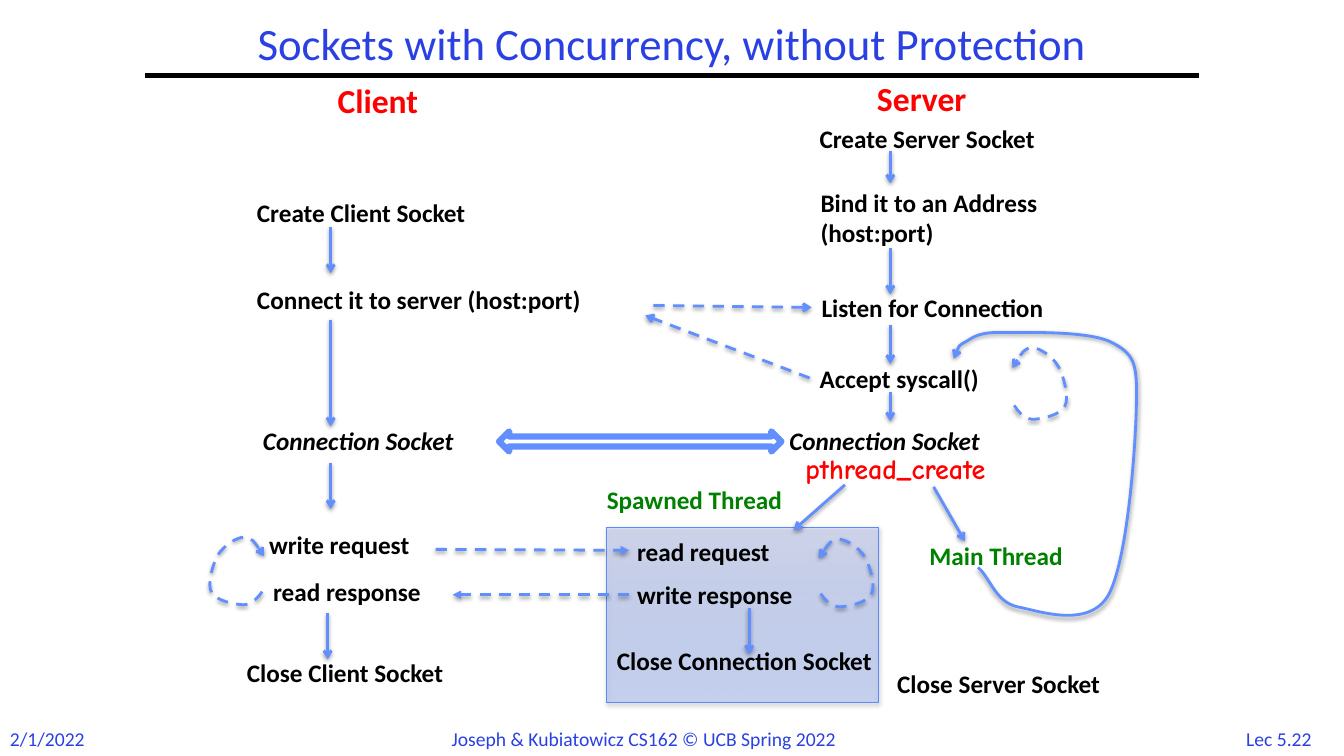
import dataclasses
import typing

import pptx
import pptx.dml.color
import pptx.enum.dml
import pptx.enum.shapes
import pptx.enum.text
import pptx.oxml
import pptx.oxml.ns
import pptx.util

CELL = pptx.util.Inches(0.1)
RGB = pptx.dml.color.RGBColor
BLACK, WHITE, RED = RGB(0, 0, 0), RGB(255, 255, 255), RGB(255, 0, 0)
GREEN = RGB(0, 0x80, 0)
TITLE_BLUE = RGB(0x2A, 0x40, 0xE2)
ARROW_BLUE = RGB(0x61, 0x8F, 0xFD)
BORDER_BLUE = RGB(0x5B, 0x8A, 0xFB)
CENTER = pptx.enum.text.PP_ALIGN.CENTER
STRAIGHT = pptx.enum.shapes.MSO_CONNECTOR.STRAIGHT
SHAPES = pptx.enum.shapes.MSO_SHAPE
NAMESPACE = pptx.oxml.ns.nsdecls("a")
LOOP = [(0.2, 5.4), (0.6, 6), (1.1, 6.6), (2, 6.7), (2.8, 6.7), (4.8, 6.3), (5.2, 5.5),
        (5.7, 4.7), (5.1, 2.7), (4.6, 1.8), (4, 0.8), (2.7, 0), (2, 0), (1.2, 0),
        (0.6, 1), (0, 1.9)]
ACCEPT_AGAIN = [(20, 49.3), (21.2, 50.3), (21.7, 52.7), (23.9, 53.2), (26, 53.6),
                (30.9, 55.4), (32.9, 52.1), (34.8, 48.8), (35.6, 37.7), (35.7, 33.6),
                (35.8, 29.4), (35.7, 28.3), (33.5, 27.1), (31.4, 25.8), (25.1, 26),
                (22.7, 26), (20.2, 25.9), (19.6, 26.4), (18.8, 26.9), (18, 27.3),
                (17.8, 28), (17.6, 28.6)]


@dataclasses.dataclass
class Region:
    """A part of the page, with its corner and size in grid cells."""
    page: typing.Any
    left: float
    top: float
    width: float
    height: float

    def point(self, column, row):
        """Turn a cell of the region into a place on the page."""
        return round((self.left + column) * CELL), round((self.top + row) * CELL)


def add_label(region, text, column, row, width, size=18, color=BLACK, bold=True,
              italic=False, font="Calibri", align=None, wrap=False):
    """Write text whose box height follows from its lines."""
    lines = text.split("\n")
    height = pptx.util.Pt(len(lines) * size * 1.22 + 7.2)
    box = region.page.shapes.add_textbox(*region.point(column, row), round(width * CELL), height)
    frame = box.text_frame
    frame.word_wrap = wrap
    frame.auto_size = pptx.enum.text.MSO_AUTO_SIZE.SHAPE_TO_FIT_TEXT
    frame.text = text
    for para in frame.paragraphs:
        para.alignment = align
        para.font.name, para.font.size = font, pptx.util.Pt(size)
        para.font.bold, para.font.italic = bold, italic
        para.font.color.rgb = color
    return box


def add_shadow(shape, alpha=38, distance=1.6):
    """Give a shape a soft shadow straight below it."""
    shape._element.spPr.append(pptx.oxml.parse_xml(
        f'<a:effectLst {NAMESPACE}><a:outerShdw blurRad="{pptx.util.Pt(3.1)}" '
        f'dist="{pptx.util.Pt(distance)}" dir="5400000" rotWithShape="0">'
        f'<a:srgbClr val="000000"><a:alpha val="{alpha * 1000}"/></a:srgbClr>'
        '</a:outerShdw></a:effectLst>'))


def style_arrow(shape, dashed, head):
    """Draw a shape's line as a blue arrow."""
    shape.line.color.rgb = ARROW_BLUE
    shape.line.width = pptx.util.Pt(2)
    if dashed:
        shape.line.dash_style = pptx.enum.dml.MSO_LINE.DASH
    shape.line._get_or_add_ln().append(
        pptx.oxml.parse_xml(f'<a:tailEnd {NAMESPACE} type="{head}"/>'))
    add_shadow(shape)


def add_arrow(region, start, end, dashed=False, head="arrow"):
    """Join two cells of the region by an arrow."""
    line = region.page.shapes.add_connector(STRAIGHT, *region.point(*start), *region.point(*end))
    style_arrow(line, dashed, head)


def add_curve(region, points, dashed=False):
    """Draw a curved arrow through a start and triples of Bezier points."""
    start, *rest = [region.point(*point) for point in points]
    builder = region.page.shapes.build_freeform(*start)
    builder.add_line_segments(rest, close=False)
    curve = builder.convert_to_shape()
    outline = curve._element.xpath(".//a:path")[0]
    segments = outline.findall(pptx.oxml.ns.qn("a:lnTo"))
    for index in range(0, len(segments), 3):
        bezier = pptx.oxml.parse_xml(f"<a:cubicBezTo {NAMESPACE}/>")
        for segment in segments[index:index + 3]:
            bezier.append(segment[0])
            outline.remove(segment)
        outline.append(bezier)
    curve.fill.background()
    style_arrow(curve, dashed, "arrow")


def add_loop(region, column, row, across=1, down=1):
    """Draw the dashed loop arrow, mirrored when across is negative."""
    add_curve(region, [(column + across * x, row + down * y) for x, y in LOOP], dashed=True)


def add_header(region):
    """Place the title above its rule."""
    title = add_label(region, "Sockets with Concurrency, without Protection", 0, 0,
                      region.width, 32, TITLE_BLUE, False, align=CENTER, wrap=True)
    title.text_frame.auto_size = pptx.enum.text.MSO_AUTO_SIZE.NONE
    title.height = round(region.height * CELL)
    title.text_frame.vertical_anchor = pptx.enum.text.MSO_ANCHOR.MIDDLE
    title.text_frame.paragraphs[0].line_spacing = 0.9
    rule = region.page.shapes.add_connector(
        STRAIGHT, *region.point(0, region.height), *region.point(region.width, region.height))
    rule.line.color.rgb, rule.line.width = BLACK, pptx.util.Pt(3)
    rule._element.spPr.append(pptx.oxml.parse_xml(f"<a:effectLst {NAMESPACE}/>"))


def add_footer(region):
    """Place the date, the course and the page number."""
    for text, column, width, align in (
            ("2/1/2022", 0, 9.6, None),
            ("Joseph & Kubiatowicz CS162 © UCB Spring 2022", 43.8, 45.5, None),
            ("Lec 5.22", region.width - 11.3, 9.7, CENTER)):
        add_label(region, text, column, 0, width, 14, TITLE_BLUE, False, align=align)


def add_client(region):
    """Place the client's steps from top to bottom."""
    add_label(region, "Client", 12.5, 0.4, 11.4, 24, RED)
    for text, column, row, width in (
            ("Create Client Socket", 4.5, 12.1, 26.6),
            ("Connect it to server (host:port)", 4.5, 20.7, 39.2),
            ("write request", 5.7, 45, 17.7),
            ("read response", 6.1, 49.7, 19.1),
            ("Close Client Socket", 3.5, 57.7, 25.7)):
        add_label(region, text, column, row, width)
    add_label(region, "Connection Socket", 5.1, 34.7, 24.9, italic=True)
    for column, start, end in ((12.8, 15.5, 20.1), (12.8, 24.7, 35.3),
                               (12.8, 38.9, 43.5), (12.5, 53.8, 58.4)):
        add_arrow(region, (column, start), (column, end))
    add_loop(region, 6.2, 46.3, across=-1)


def add_server(region):
    """Place the server's steps and its return to accept."""
    add_label(region, "Server", 9, 0.2, 13, 24, RED)
    for text, column, row, width in (
            ("Create Server Socket", 3.3, 4.7, 27.4),
            ("Bind it to an Address\n(host:port)", 3.4, 11.1, 28),
            ("Listen for Connection", 3.5, 21.5, 28),
            ("Accept syscall()", 3.3, 28.5, 21.3),
            ("Close Server Socket", 11, 58.8, 27)):
        add_label(region, text, column, row, width)
    add_label(region, "Connection Socket", 0.3, 34.7, 24.9, italic=True)
    add_label(region, "pthread_create", 1.9, 37.3, 24.1, 20, RED, font="Comic Neue", wrap=True)
    add_label(region, "Main Thread", 14.2, 46.1, 16.9, color=GREEN)
    for start, end in ((8, 11.2), (17.6, 22.2), (25.2, 29.1), (31.9, 34.8)):
        add_arrow(region, (11.3, start), (11.3, end))
    add_arrow(region, (6.8, 41.1), (1.7, 45.6))
    add_arrow(region, (15.6, 41.3), (18.7, 46.7))
    add_curve(region, ACCEPT_AGAIN)
    add_loop(region, 23.4, 27.5, down=1.06)


def add_thread(region):
    """Place the spawned thread's panel and steps."""
    panel = region.page.shapes.add_shape(
        SHAPES.RECTANGLE, *region.point(1.2, 4.8), round(26.9 * CELL), round(17.4 * CELL))
    panel.fill.gradient()
    panel.fill.gradient_angle = 90
    for stop, color, alpha in zip(panel.fill.gradient_stops, ("5F8EFF", "C4D0FF"), (26, 46)):
        stop.color.rgb = RGB.from_string(color)
        stop.color._xFill[0].append(
            pptx.oxml.parse_xml(f'<a:alpha {NAMESPACE} val="{alpha * 1000}"/>'))
    panel.line.color.rgb, panel.line.width = BORDER_BLUE, pptx.util.Pt(0.75)
    add_shadow(panel, 35, 1.8)
    add_label(region, "Spawned Thread", 0.2, 0.1, 22.2, color=GREEN)
    for text, column, row, width in (("read request", 3.2, 5.2, 17.7),
                                     ("write response", 3.2, 9.5, 19.9),
                                     ("Close Connection Socket", 1.2, 16, 29.4)):
        add_label(region, text, column, row, width)
    add_arrow(region, (15.3, 12.8), (15.3, 17.4))
    add_loop(region, 22.2, 6)


def add_exchange(region):
    """Place the messages between client and server."""
    add_arrow(region, (21.8, 2.3), (37.5, 2.5), dashed=True)
    add_arrow(region, (37.3, 9.5), (21, 3.3), dashed=True)
    add_arrow(region, (0.2, 26.5), (19.4, 26.6), dashed=True, head="triangle")
    add_arrow(region, (19.4, 31), (1.9, 31), dashed=True, head="triangle")
    link = region.page.shapes.add_shape(
        SHAPES.LEFT_RIGHT_ARROW, *region.point(6.5, 14.8), round(28 * CELL), round(2 * CELL))
    link.fill.solid()
    link.fill.fore_color.rgb = WHITE
    link.line.color.rgb, link.line.width = ARROW_BLUE, pptx.util.Pt(4.5)
    link.shadow.inherit = False


def main():
    """Build the deck and save it."""
    deck = pptx.Presentation()
    deck.slide_width, deck.slide_height = pptx.util.Inches(13.33), pptx.util.Inches(7.5)
    page = deck.slides.add_slide(deck.slide_layouts[6])
    add_footer(Region(page, 0, 71.6, 133.3, 3.4))
    add_header(Region(page, 14.4, 1.7, 104.5, 5.8))
    add_thread(Region(page, 59, 47.5, 28, 22))
    add_client(Region(page, 20, 7, 45, 63))
    add_server(Region(page, 77, 7, 38, 63))
    add_exchange(Region(page, 43, 28, 38, 32))
    deck.save("out.pptx")


if __name__ == "__main__":
    main()
